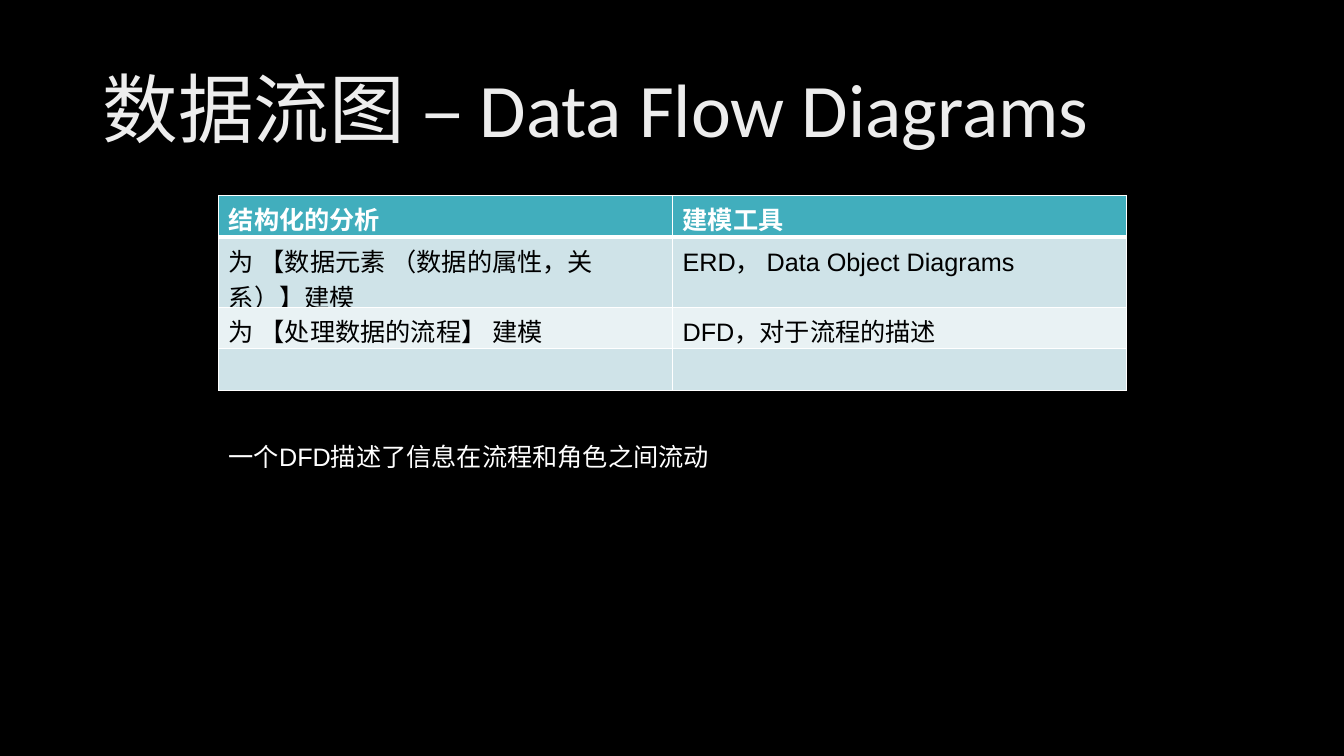
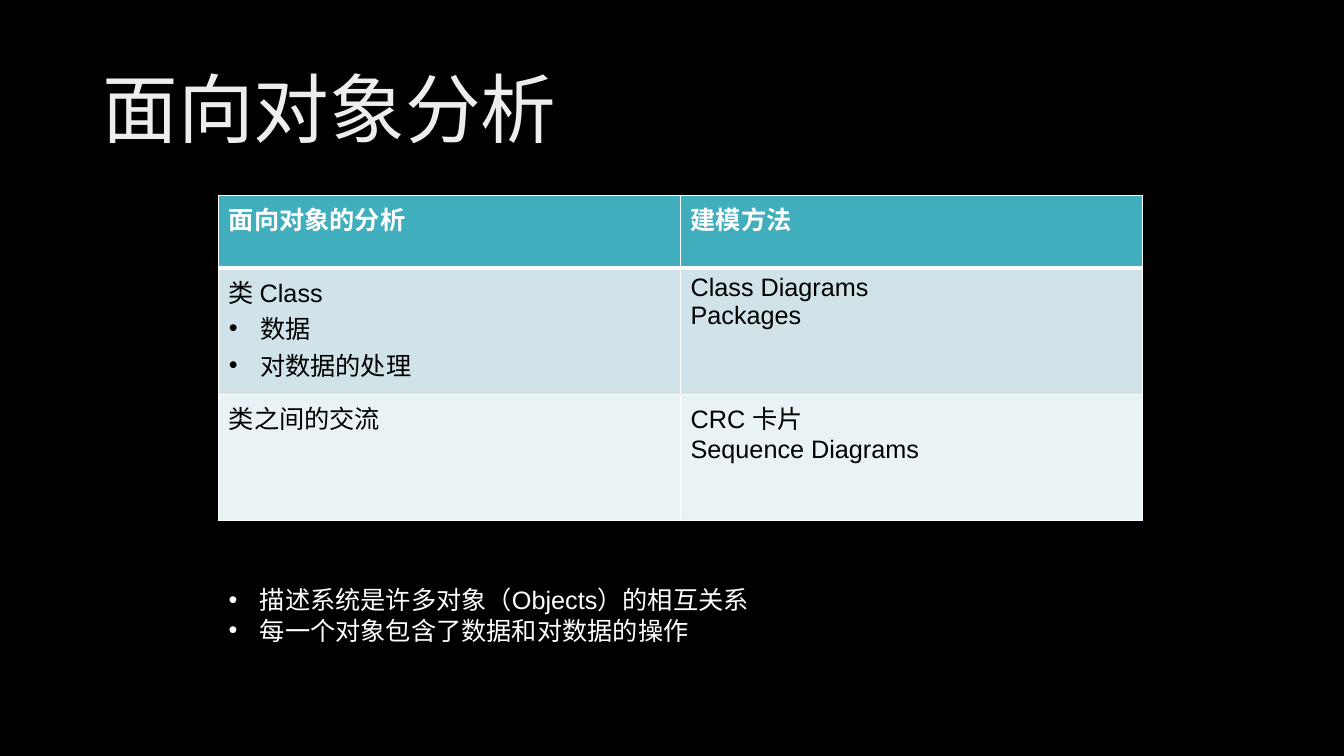
"""Build two dark slides comparing structured and object-oriented analysis."""
from lxml.etree import SubElement
from pptx import Presentation
from pptx.dml.color import RGBColor
from pptx.enum.text import MSO_ANCHOR, MSO_AUTO_SIZE
from pptx.oxml.ns import qn
from pptx.util import Inches, Pt

BLACK = RGBColor(0x00, 0x00, 0x00)
WHITE = RGBColor(0xFF, 0xFF, 0xFF)
TITLE_GREY = RGBColor(0xED, 0xED, 0xED)
TEAL = RGBColor(0x41, 0xAE, 0xBD)
BANDS = (RGBColor(0xE9, 0xF2, 0xF4), RGBColor(0xCF, 0xE3, 0xE8))

BULLET = "•"
CONTENT_LEFT = 2.17
TABLE_TOP = 1.94
INDENT = Inches(0.31)

SLIDES = [
    {
        "title": "数据流图 – Data Flow Diagrams",
        "column": 4.5,
        "heights": [0.41, 0.41, 0.41, 0.41],
        "rows": [
            (["结构化的分析"], ["建模工具"]),
            (["为 【数据元素 （数据的属性，关系）】建模"], ["ERD， Data Object Diagrams"]),
            (["为 【处理数据的流程】 建模"], ["DFD，对于流程的描述"]),
            ([], []),
        ],
        "notes": ["一个DFD描述了信息在流程和角色之间流动"],
        "notes_box": (4.33, 0.4),
    },
    {
        "title": "面向对象分析",
        "column": 4.58,
        "heights": [0.72, 1.25, 1.25],
        "rows": [
            (["面向对象的分析"], ["建模方法"]),
            (["类 Class", "•数据", "•对数据的处理"], ["Class Diagrams", "Packages"]),
            (["类之间的交流"], ["CRC 卡片", "Sequence Diagrams"]),
        ],
        "notes": ["•描述系统是许多对象（Objects）的相互关系", "•每一个对象包含了数据和对数据的操作"],
        "notes_box": (5.75, 0.71),
    },
]


def add_bullet(paragraph):
    properties = paragraph._p.get_or_add_pPr()
    properties.set("marL", str(INDENT))
    properties.set("indent", str(-INDENT))
    SubElement(properties, qn("a:buFont")).set("typeface", "Arial")
    SubElement(properties, qn("a:buChar")).set("char", BULLET)


def write(frame, lines, color, size=18, font="Arial", bold=False):
    for index, line in enumerate(lines):
        paragraph = frame.add_paragraph() if index else frame.paragraphs[0]
        if line.startswith(BULLET):
            add_bullet(paragraph)
        run = paragraph.add_run()
        run.text = line.removeprefix(BULLET)
        run.font.name = font
        run.font.size = Pt(size)
        run.font.bold = bold
        run.font.color.rgb = color


def add_text_box(slide, left, top, width, height):
    box = slide.shapes.add_textbox(Inches(left), Inches(top), Inches(width), Inches(height))
    box.text_frame.word_wrap = True
    return box.text_frame


def add_title(slide, title):
    frame = add_text_box(slide, 0.92, 0.4, 11.5, 1.45)
    frame.vertical_anchor = MSO_ANCHOR.MIDDLE
    write(frame, [title], TITLE_GREY, 54, "Calibri")
    frame.paragraphs[0].line_spacing = 0.9


def set_borders(cell, row):
    widths = {"L": 1, "R": 1, "T": 3 if row == 1 else 1, "B": 3 if row == 0 else 1}
    for side, width in widths.items():
        line = SubElement(cell._tc.get_or_add_tcPr(), qn(f"a:ln{side}"), w=str(Pt(width)))
        fill = SubElement(line, qn("a:solidFill"))
        SubElement(fill, qn("a:srgbClr")).set("val", str(WHITE))


def add_comparison(slide, rows, heights, column):
    table = slide.shapes.add_table(
        len(rows), 2, Inches(CONTENT_LEFT), Inches(TABLE_TOP),
        Inches(2 * column), Inches(sum(heights)),
    ).table
    for table_column in table.columns:
        table_column.width = Inches(column)
    for row, (cells, height) in enumerate(zip(rows, heights)):
        table.rows[row].height = Inches(height)
        header = row == 0
        for col, lines in enumerate(cells):
            cell = table.cell(row, col)
            set_borders(cell, row)
            cell.fill.solid()
            cell.fill.fore_color.rgb = TEAL if header else BANDS[row % 2]
            write(cell.text_frame, lines, WHITE if header else BLACK, bold=header)


def add_notes(slide, lines, top, width, height):
    frame = add_text_box(slide, CONTENT_LEFT, top, width, height)
    frame.auto_size = MSO_AUTO_SIZE.SHAPE_TO_FIT_TEXT
    write(frame, lines, WHITE)


def main():
    deck = Presentation()
    deck.slide_width, deck.slide_height = Inches(13.33), Inches(7.5)
    background = deck.slide_master.background.fill
    background.solid()
    background.fore_color.rgb = BLACK
    for content in SLIDES:
        slide = deck.slides.add_slide(deck.slide_layouts[6])
        add_title(slide, content["title"])
        add_comparison(slide, content["rows"], content["heights"], content["column"])
        top, height = content["notes_box"]
        add_notes(slide, content["notes"], top, 2 * content["column"], height)
    deck.save("out.pptx")


if __name__ == "__main__":
    main()
